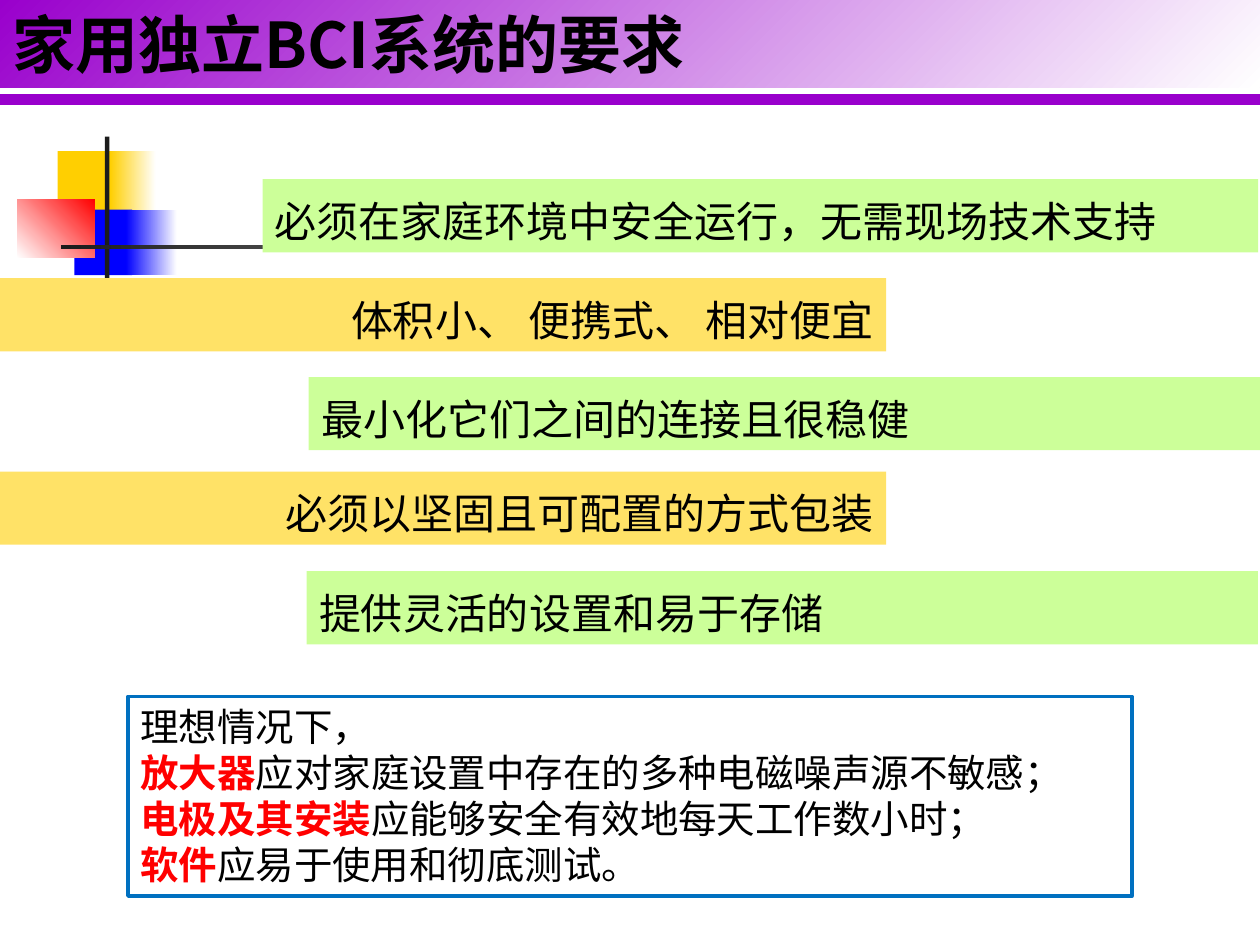
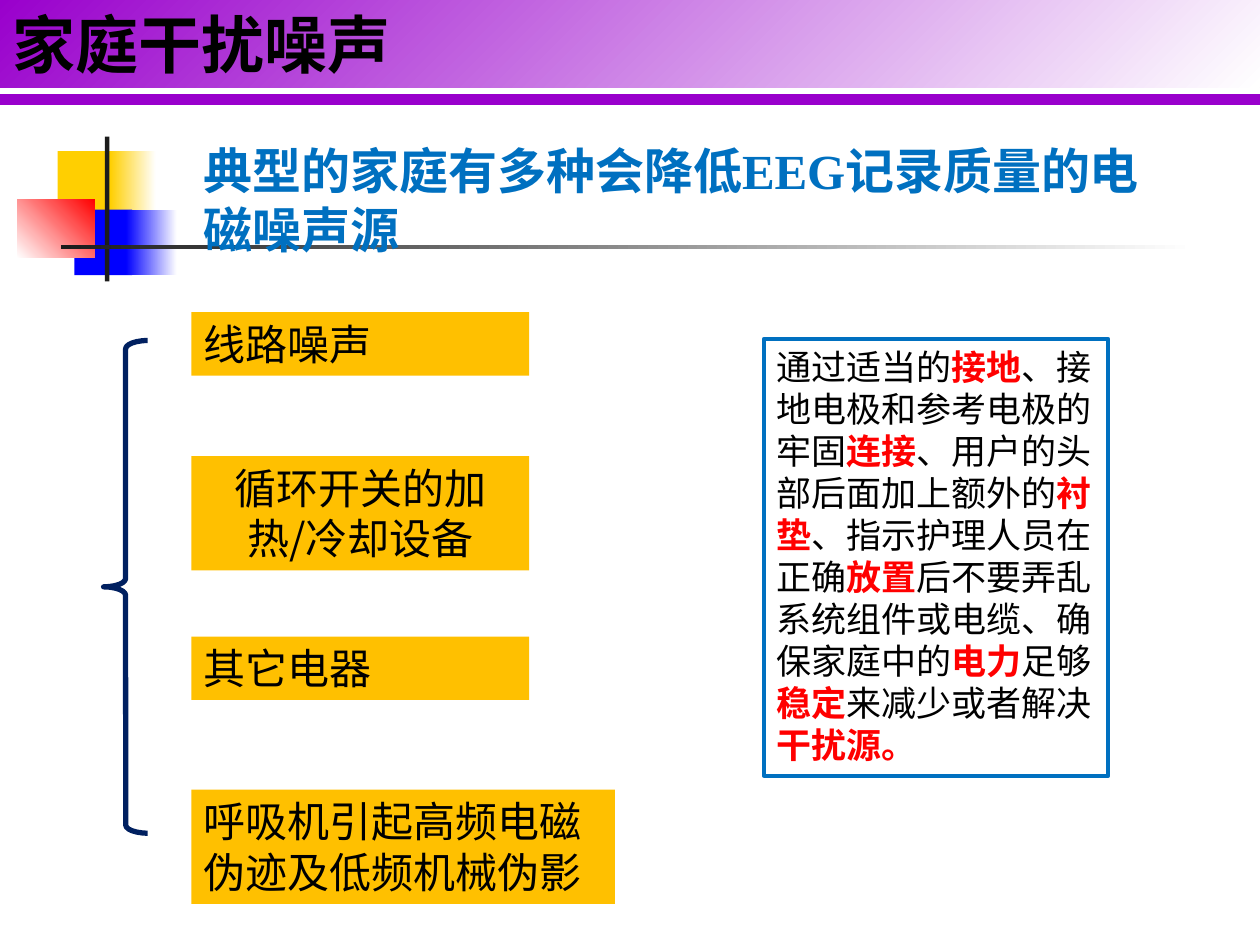
from lxml import etree
from pptx import Presentation
from pptx.dml.color import RGBColor
from pptx.enum.shapes import MSO_CONNECTOR, MSO_SHAPE
from pptx.enum.text import MSO_ANCHOR, PP_ALIGN
from pptx.oxml.ns import qn
from pptx.util import Pt

RECT, BRACE = MSO_SHAPE.RECTANGLE, MSO_SHAPE.LEFT_BRACE
STRAIGHT = MSO_CONNECTOR.STRAIGHT
TOP = MSO_ANCHOR.TOP
LEFT, CENTER, RIGHT = PP_ALIGN.LEFT, PP_ALIGN.CENTER, PP_ALIGN.RIGHT

BLACK = RGBColor(0x00, 0x00, 0x00)
WHITE = RGBColor(0xFF, 0xFF, 0xFF)
INK = RGBColor(0x1C, 0x1C, 0x1C)
RED = RGBColor(0xFF, 0x00, 0x00)
PURPLE = RGBColor(0x99, 0x00, 0xCC)
BLUE = RGBColor(0x00, 0x70, 0xC0)
NAVY = RGBColor(0x00, 0x20, 0x60)
SQUARE_BLUE = RGBColor(0x00, 0x00, 0xFF)
SQUARE_YELLOW = RGBColor(0xFF, 0xCF, 0x01)
GREEN_BAR = RGBColor(0xCC, 0xFF, 0x99)
YELLOW_BAR = RGBColor(0xFF, 0xE2, 0x67)
AMBER = RGBColor(0xFF, 0xC0, 0x00)

SANS, SERIF = "Noto Sans CJK SC", "Times New Roman"
SLIDE_W, SLIDE_H = 720, 540


def style_run(r, size, font, color, bold):
    r.font.size = Pt(size)
    r.font.name = font
    r.font.bold = bold
    r.font.color.rgb = color
    ea = etree.SubElement(r.font._element, qn("a:ea"))
    ea.set("typeface", SANS)


def write(sp, paragraphs, size, font=SANS, color=BLACK, bold=False,
          align=LEFT, spacing=None):
    """Fill a shape with text; parts between asterisks become bold red."""
    tf = sp.text_frame
    tf.word_wrap = True
    tf.vertical_anchor = TOP
    for i, text in enumerate(paragraphs):
        p = tf.add_paragraph() if i else tf.paragraphs[0]
        p.alignment = align
        if spacing:
            p.line_spacing = spacing
        for j, part in enumerate(text.split("*")):
            if not part:
                continue
            r = p.add_run()
            r.text = part
            key = j % 2 == 1
            style_run(r, size, font, RED if key else color, key or bold)


def add_box(slide, box, fill=None, line=None, width=2.25, shape=RECT):
    sp = slide.shapes.add_shape(shape, *map(Pt, box))
    sp.shadow.inherit = False
    if fill is None:
        sp.fill.background()
    else:
        sp.fill.solid()
        sp.fill.fore_color.rgb = fill
    if line is None:
        sp.line.fill.background()
    else:
        sp.line.color.rgb = line
        sp.line.width = Pt(width)
    return sp


def add_gradient(slide, box, start, end, angle=0):
    """Add a box fading from start to end; angle is counter-clockwise."""
    sp = add_box(slide, box)
    sp.fill.gradient()
    sp.fill.gradient_angle = angle
    for stop, color, position in zip(sp.fill.gradient_stops, (start, end), (0, 1)):
        stop.color.rgb = color
        stop.position = position
    return sp


def add_ornament(slide):
    add_box(slide, (33, 86.4, 34.5, 37.4), SQUARE_YELLOW)
    add_gradient(slide, (63, 86.4, 26, 37.4), SQUARE_YELLOW, WHITE)
    add_box(slide, (42.5, 119.8, 33, 37.4), SQUARE_BLUE)
    add_gradient(slide, (72, 119.8, 29, 37.4), SQUARE_BLUE, WHITE)
    add_gradient(slide, (9.8, 113.8, 44.4, 33.4), WHITE, RED, 45)
    add_box(slide, (60, 78, 2.5, 82.8), INK)
    add_gradient(slide, (34.8, 140, 648, 2.5), INK, WHITE)


def add_title(slide, title):
    band = add_gradient(slide, (0, -0.5, SLIDE_W, 50.4), PURPLE, WHITE, 315)
    write(band, [title], 36, bold=True)
    rule = slide.shapes.add_connector(
        STRAIGHT, Pt(0), Pt(57), Pt(SLIDE_W), Pt(57))
    rule.line.color.rgb = PURPLE
    rule.line.width = Pt(6)
    etree.SubElement(rule._element.spPr, qn("a:effectLst"))


def new_slide(prs, title):
    slide = prs.slides.add_slide(prs.slide_layouts[6])
    add_ornament(slide)
    add_title(slide, title)
    return slide


def add_requirement(slide, left, top, width, text, from_left):
    """Add a bar that enters from the left or the right slide edge."""
    bar = add_box(slide, (left, top, width, 41.8),
                  YELLOW_BAR if from_left else GREEN_BAR)
    write(bar, [text], 24, align=RIGHT if from_left else LEFT, spacing=1.2)


def add_note(slide, box, paragraphs, size):
    write(add_box(slide, box, line=BLUE), paragraphs, size, SERIF)


def build_requirements(prs):
    slide = new_slide(prs, "家用独立BCI系统的要求")
    requirements = [
        (150, 102.4, 569, "必须在家庭环境中安全运行，无需现场技术支持"),
        (0, 159, 506.4, "体积小、 便携式、 相对便宜"),
        (176.4, 215.5, 543.6, "最小化它们之间的连接且很稳健"),
        (0, 269.5, 506.4, "必须以坚固且可配置的方式包装"),
        (175.2, 326.4, 543.6, "提供灵活的设置和易于存储"),
    ]
    for left, top, width, text in requirements:
        add_requirement(slide, left, top, width, text, from_left=left == 0)
    add_note(slide, (73.2, 398, 573.6, 114), [
        "理想情况下，",
        "*放大器*应对家庭设置中存在的多种电磁噪声源不敏感；",
        "*电极及其安装*应能够安全有效地每天工作数小时；",
        "*软件*应易于使用和彻底测试。",
    ], 22)


def build_noise(prs):
    slide = new_slide(prs, "家庭干扰噪声")
    heading = slide.shapes.add_textbox(Pt(109.4), Pt(77), Pt(571), Pt(75))
    write(heading, ["典型的家庭有多种会降低EEG记录质量的电磁噪声源"],
          28, SERIF, BLUE, bold=True)

    brace = add_box(slide, (59.2, 194.6, 25.2, 281.5), line=NAVY, width=3,
                    shape=BRACE)
    brace.adjustments[0] = 0.19

    sources = [
        (178.4, 193, 36.2, LEFT, "线路噪声"),
        (260.6, 193, 65.4, CENTER, "循环开关的加热/冷却设备"),
        (363.8, 193, 36.2, LEFT, "其它电器"),
        (451.2, 242, 65.4, LEFT, "呼吸机引起高频电磁伪迹及低频机械伪影"),
    ]
    for top, width, height, align, text in sources:
        sp = add_box(slide, (109.4, top, width, height), AMBER)
        write(sp, [text], 24, align=align)

    add_note(slide, (436.5, 193.7, 196.8, 249.6), [
        "通过适当的*接地*、接地电极和参考电极的牢固*连接*、"
        "用户的头部后面加上额外的*衬垫*、指示护理人员在正确*放置*"
        "后不要弄乱系统组件或电缆、确保家庭中的*电力*足够*稳定*"
        "来减少或者解决*干扰源。*",
    ], 20)


def main():
    prs = Presentation()
    prs.slide_width, prs.slide_height = Pt(SLIDE_W), Pt(SLIDE_H)
    build_requirements(prs)
    build_noise(prs)
    prs.save("out.pptx")


if __name__ == "__main__":
    main()
